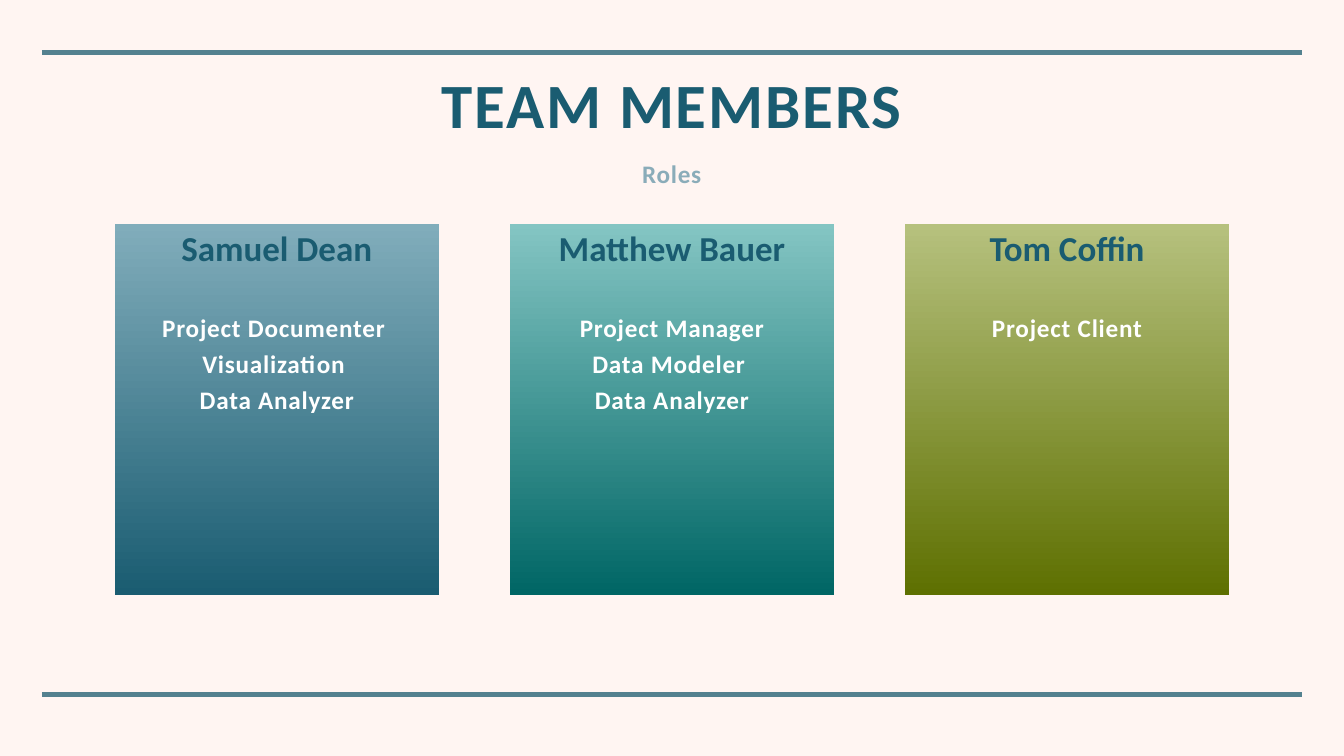
from dataclasses import dataclass

from lxml import etree
from pptx import Presentation
from pptx.dml.color import RGBColor
from pptx.enum.shapes import MSO_CONNECTOR, MSO_SHAPE
from pptx.enum.text import MSO_ANCHOR, PP_ALIGN
from pptx.oxml.ns import qn
from pptx.util import Inches, Pt

CENTER = PP_ALIGN.CENTER
TOP, MIDDLE = MSO_ANCHOR.TOP, MSO_ANCHOR.MIDDLE
RECTANGLE = MSO_SHAPE.RECTANGLE
STRAIGHT = MSO_CONNECTOR.STRAIGHT

PAGE_WIDTH, PAGE_HEIGHT = 26.67, 15
RULE_LEFT, RULE_RIGHT = 0.83, 25.83
CONTENT_LEFT, CONTENT_WIDTH = 2.28, 22.1
CARD_TOP, CARD_WIDTH, CARD_HEIGHT = 4.44, 6.43, 7.36
CARD_STEP = 7.84
INSET = 0.06
BACKGROUND, RULE, NAVY, MUTED, WHITE = "FFF5F2", "54818F", "1A5C71", "8AACB9", "FFFFFF"


@dataclass(frozen=True)
class TextStyle:
    size: float
    color: str
    tracking: float = 0
    line_spacing: float = 1.0
    space_after: float = 0


@dataclass(frozen=True)
class Member:
    name: str
    roles: tuple[str, ...]
    top_color: str
    bottom_color: str


TITLE = TextStyle(90, NAVY, tracking=2.7, line_spacing=0.9)
SUBTITLE = TextStyle(36, MUTED, tracking=1.1, line_spacing=1.2)
NAME = TextStyle(50, NAVY, space_after=53)
ROLE = TextStyle(36, WHITE, tracking=1.1, line_spacing=1.2)

MEMBERS = (
    Member("Samuel Dean", ("Project Documenter ", "Visualization ", "Data Analyzer"),
           "81ADBB", "1A5C71"),
    Member("Matthew Bauer", ("Project Manager", "Data Modeler ", "Data Analyzer"),
           "84C5C3", "006665"),
    Member("Tom Coffin", ("Project Client",), "B6C17E", "5E7001"),
)


def rgb(color: str) -> RGBColor:
    return RGBColor.from_string(color)


def set_attributes(target, values: dict) -> None:
    for name, value in values.items():
        setattr(target, name, value)


def write_text(box, lines: list[tuple[str, TextStyle]], inset: float, anchor=TOP) -> None:
    frame = box.text_frame
    margins = ("margin_left", "margin_top", "margin_right", "margin_bottom")
    set_attributes(frame, {"word_wrap": True, "vertical_anchor": anchor,
                           **dict.fromkeys(margins, Inches(inset))})
    for index, (text, style) in enumerate(lines):
        para = frame.add_paragraph() if index else frame.paragraphs[0]
        set_attributes(para, {"alignment": CENTER, "line_spacing": style.line_spacing,
                              "space_before": Pt(0), "space_after": Pt(style.space_after)})
        span = para.add_run()
        span.text = text
        set_attributes(span.font, {"name": "Calibri", "size": Pt(style.size), "bold": True})
        span.font.color.rgb = rgb(style.color)
        if style.tracking:
            span.font._element.set("spc", str(round(style.tracking * 100)))


def add_rule(page, y: float) -> None:
    rule = page.shapes.add_connector(STRAIGHT, Inches(RULE_LEFT), Inches(y),
                                     Inches(RULE_RIGHT), Inches(y))
    rule.line.width = Pt(6)
    rule.line.color.rgb = rgb(RULE)
    etree.SubElement(rule._element.spPr, qn("a:effectLst"))


def add_heading(page, text: str, style: TextStyle, top: float, height: float,
                inset: float, anchor) -> None:
    box = page.shapes.add_textbox(Inches(CONTENT_LEFT), Inches(top),
                                  Inches(CONTENT_WIDTH), Inches(height))
    write_text(box, [(text, style)], inset, anchor)


def add_card(page, member: Member, left: float) -> None:
    card = page.shapes.add_shape(RECTANGLE, Inches(left), Inches(CARD_TOP),
                                 Inches(CARD_WIDTH), Inches(CARD_HEIGHT))
    card.shadow.inherit = False
    card.line.fill.background()
    card.fill.gradient()
    card.fill.gradient_angle = 270
    for stop, color in zip(card.fill.gradient_stops, (member.top_color, member.bottom_color)):
        stop.color.rgb = rgb(color)
    write_text(card, [(member.name, NAME), *((role, ROLE) for role in member.roles)], INSET)


def main() -> None:
    deck = Presentation()
    set_attributes(deck, {"slide_width": Inches(PAGE_WIDTH), "slide_height": Inches(PAGE_HEIGHT)})
    page = deck.slides.add_slide(deck.slide_layouts[6])
    page.background.fill.solid()
    page.background.fill.fore_color.rgb = rgb(BACKGROUND)

    # Rules above and below the content
    for y in (1.04, 13.78):
        add_rule(page, y)

    # Title and subtitle
    add_heading(page, "TEAM MEMBERS", TITLE, 1.4, 1.81, INSET, TOP)
    add_heading(page, "Roles", SUBTITLE, 3.06, 0.66, 0, MIDDLE)

    # One card per team member
    for index, member in enumerate(MEMBERS):
        add_card(page, member, CONTENT_LEFT + index * CARD_STEP)

    deck.save("out.pptx")


if __name__ == "__main__":
    main()
